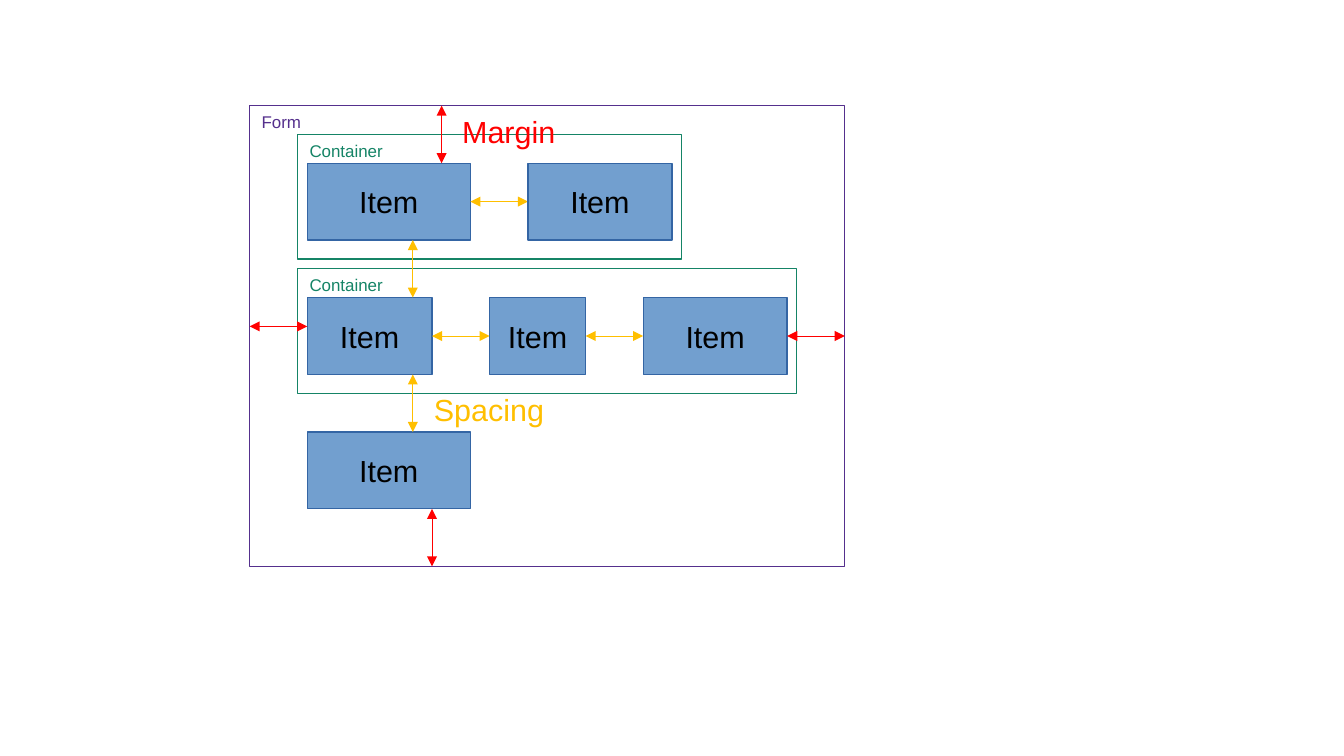
from dataclasses import dataclass

from lxml import etree
from pptx import Presentation
from pptx import util as u
from pptx.dml.color import RGBColor
from pptx.enum import shapes, text
from pptx.oxml import ns


@dataclass(frozen=True)
class Theme:
    font: str = "Arial"
    item_size: int = 18
    frame_size: int = 10
    item_fill: str = "729FCF"
    item_line: str = "3465A4"
    item_text: str = "000000"
    form: str = "55308D"
    container: str = "158466"
    margin: str = "FF0000"
    spacing: str = "FFBF00"
    arrow_width: float = 0.5


THEME = Theme()

# Layout, counted in square grid cells
CELL = u.Cm(0.2)
SLIDE_COLUMNS, SLIDE_ROWS = 140, 78.75
FORM_LEFT, FORM_TOP, FORM_WIDTH, FORM_HEIGHT = 26, 11, 62, 48
GAP = 6
ITEM_HEIGHT = 8
CONTAINER_HEIGHT, CONTAINER_PAD, CONTAINER_HEAD = 13, 1, 3
ROW_STEP = ITEM_HEIGHT + GAP
ITEM_LEFT, ITEM_TOP = FORM_LEFT + GAP, FORM_TOP + GAP
ITEM_ROWS = [(17, 15), (13, 10, 15), (17,)]


def cells(*counts):
    return [round(count * CELL) for count in counts]


def rgb(colour):
    return RGBColor.from_string(colour)


def write(frame, wording, size, colour, align=text.PP_ALIGN.LEFT):
    paragraph = frame.paragraphs[0]
    paragraph.text = wording
    paragraph.alignment = align
    paragraph.font.name = THEME.font
    paragraph.font.size = u.Pt(size)
    paragraph.font.color.rgb = rgb(colour)


def add_box(slide, area, line_colour):
    box = slide.shapes.add_shape(shapes.MSO_SHAPE.RECTANGLE, *cells(*area))
    box.shadow.inherit = False
    box.line.color.rgb = rgb(line_colour)
    box.line.width = 0
    return box


def add_frame(slide, area, wording, colour):
    outline = add_box(slide, area, colour)
    outline.fill.background()
    outline.text_frame.vertical_anchor = text.MSO_ANCHOR.TOP
    write(outline.text_frame, wording, THEME.frame_size, colour)


def add_item(slide, left, top, width):
    item = add_box(slide, (left, top, width, ITEM_HEIGHT), THEME.item_line)
    item.fill.solid()
    item.fill.fore_color.rgb = rgb(THEME.item_fill)
    item.text_frame.vertical_anchor = text.MSO_ANCHOR.MIDDLE
    write(item.text_frame, "Item", THEME.item_size, THEME.item_text,
          text.PP_ALIGN.CENTER)


def add_gap_arrow(slide, left, top, colour, vertical=False):
    """Double arrow, one gap long, drawn rightwards or downwards."""
    right, bottom = (left, top + GAP) if vertical else (left + GAP, top)
    arrow = slide.shapes.add_connector(
        shapes.MSO_CONNECTOR.STRAIGHT, *cells(left, top, right, bottom))
    arrow.line.color.rgb = rgb(colour)
    arrow.line.width = u.Pt(THEME.arrow_width)
    outline = arrow.line._get_or_add_ln()
    for end in ("a:headEnd", "a:tailEnd"):
        etree.SubElement(outline, ns.qn(end), type="triangle")
    etree.SubElement(arrow._element.spPr, ns.qn("a:effectLst"))


def add_label(slide, area, wording, colour):
    label = slide.shapes.add_textbox(*cells(*area)).text_frame
    label.word_wrap = False
    label.auto_size = text.MSO_AUTO_SIZE.SHAPE_TO_FIT_TEXT
    write(label, wording, THEME.item_size, colour)


def add_item_row(slide, top, widths):
    """Items set one gap apart; a row of several sits in a container."""
    row_width = sum(widths) + GAP * (len(widths) - 1)
    if len(widths) > 1:
        add_frame(slide, (ITEM_LEFT - CONTAINER_PAD, top - CONTAINER_HEAD,
                          row_width + 2 * CONTAINER_PAD, CONTAINER_HEIGHT),
                  "Container", THEME.container)
    left = ITEM_LEFT
    for index, width in enumerate(widths):
        if index:
            add_gap_arrow(slide, left - GAP, top + ITEM_HEIGHT / 2, THEME.spacing)
        add_item(slide, left, top, width)
        left += width + GAP


def main():
    deck = Presentation()
    deck.slide_width, deck.slide_height = cells(SLIDE_COLUMNS, SLIDE_ROWS)
    slide = deck.slides.add_slide(deck.slide_layouts[6])

    # Form with its rows of items
    add_frame(slide, (FORM_LEFT, FORM_TOP, FORM_WIDTH, FORM_HEIGHT),
              "Form", THEME.form)
    row_tops = [ITEM_TOP + ROW_STEP * row for row in range(len(ITEM_ROWS))]
    for top, widths in zip(row_tops, ITEM_ROWS):
        add_item_row(slide, top, widths)

    # Spacing between rows
    for top in row_tops[1:]:
        add_gap_arrow(slide, ITEM_LEFT + 11, top - GAP, THEME.spacing, vertical=True)

    # Margins at the top, bottom, left and right of the form
    form_right, form_bottom = FORM_LEFT + FORM_WIDTH, FORM_TOP + FORM_HEIGHT
    middle = row_tops[1] + ITEM_HEIGHT / 2
    add_gap_arrow(slide, ITEM_LEFT + 14, FORM_TOP, THEME.margin, vertical=True)
    add_gap_arrow(slide, ITEM_LEFT + 13, form_bottom - GAP, THEME.margin, vertical=True)
    add_gap_arrow(slide, FORM_LEFT, middle - 1, THEME.margin)
    add_gap_arrow(slide, form_right - GAP, middle, THEME.margin)

    # Names of the two distances
    add_label(slide, (46.9, 11.2, 12.2, 4.8), "Margin", THEME.margin)
    add_label(slide, (43.95, 40.15, 14, 4.8), "Spacing", THEME.spacing)

    deck.save("out.pptx")


if __name__ == "__main__":
    main()
